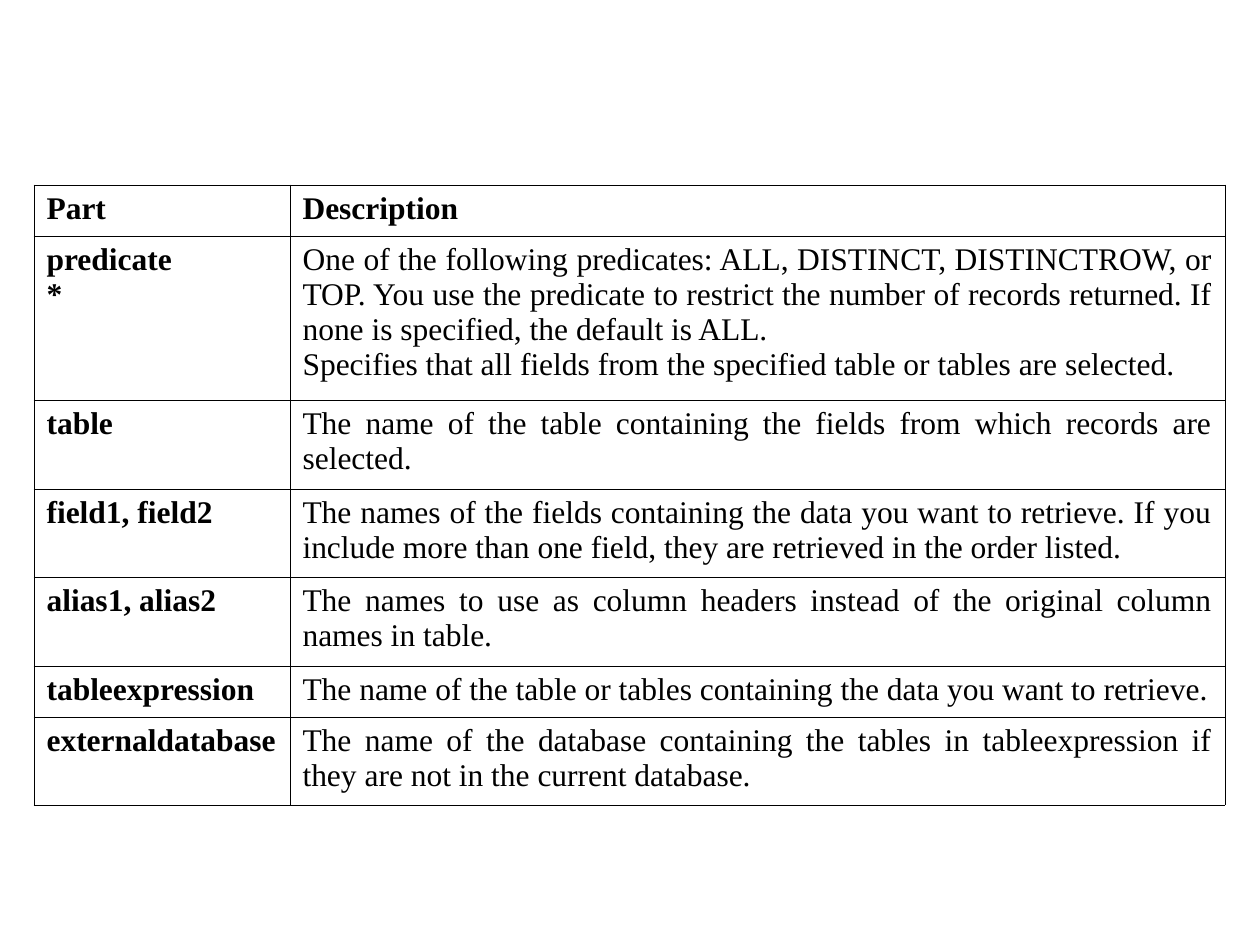
from lxml.etree import SubElement
from pptx import Presentation
from pptx.dml.color import RGBColor as Color
from pptx.enum.text import PP_ALIGN as Align
from pptx.oxml.ns import qn
from pptx.util import Emu, Pt

PX = 914400 / 126
COLORS = {"ink": "000000", "paper": "FFFFFF"}
FONT = {"name": "Times New Roman", "size": Pt(18)}
BORDER = Pt(0.45)
TABLE_BOX = (34, 185, 1191, 620)
COLUMN_WIDTHS = (256, 935)
ROW_HEIGHTS = (51, 164, 89, 88, 89, 51, 88)
ROWS = (
    ("Part", "Description"),
    (
        "predicate\n*",
        "One of the following predicates: ALL, DISTINCT, DISTINCTROW, or TOP. "
        "You use the predicate to restrict the number of records returned. "
        "If none is specified, the default is ALL.\n"
        "Specifies that all fields from the specified table or tables are selected.",
    ),
    ("table", "The name of the table containing the fields from which records are selected."),
    (
        "field1, field2",
        "The names of the fields containing the data you want to retrieve. "
        "If you include more than one field, they are retrieved in the order listed.",
    ),
    (
        "alias1, alias2",
        "The names to use as column headers instead of the original column names in table.",
    ),
    (
        "tableexpression",
        "The name of the table or tables containing the data you want to retrieve.",
    ),
    (
        "externaldatabase",
        "The name of the database containing the tables in tableexpression "
        "if they are not in the current database.",
    ),
)


def px(length):
    return Emu(round(length * PX))


def set_values(target, values):
    for name, value in values.items():
        setattr(target, name, value)


def add_borders(cell):
    properties = cell._tc.get_or_add_tcPr()
    for index, side in enumerate(("lnL", "lnR", "lnT", "lnB")):
        line = properties.makeelement(qn(f"a:{side}"), {"w": str(BORDER)})
        fill = SubElement(line, qn("a:solidFill"))
        SubElement(fill, qn("a:srgbClr"), val=COLORS["ink"])
        properties.insert(index, line)


def write_cell(cell, text, bold, align):
    cell.fill.solid()
    cell.fill.fore_color.rgb = Color.from_string(COLORS["paper"])
    add_borders(cell)
    cell.text = text
    for para in cell.text_frame.paragraphs:
        para.alignment = align
        for span in para.runs:
            set_values(span.font, FONT | {"bold": bold})
            span.font.color.rgb = Color.from_string(COLORS["ink"])


def add_parts_table(page, box):
    frame = page.shapes.add_table(len(ROWS), len(COLUMN_WIDTHS), *map(px, box))
    table = frame.table
    set_values(table, {"first_row": False, "horz_banding": False})
    for column, width in zip(table.columns, COLUMN_WIDTHS):
        column.width = px(width)
    for row, height in zip(table.rows, ROW_HEIGHTS):
        row.height = px(height)
    for row_index, texts in enumerate(ROWS):
        for column_index, text in enumerate(texts):
            is_header = row_index == 0
            is_part = column_index == 0
            align = Align.LEFT if is_header and not is_part else Align.JUSTIFY
            write_cell(table.cell(row_index, column_index), text, is_header or is_part, align)


def main():
    deck = Presentation()
    set_values(deck, {"slide_width": px(1260), "slide_height": px(945)})
    page = deck.slides.add_slide(deck.slide_layouts[6])
    add_parts_table(page, TABLE_BOX)
    deck.save("out.pptx")


if __name__ == "__main__":
    main()
